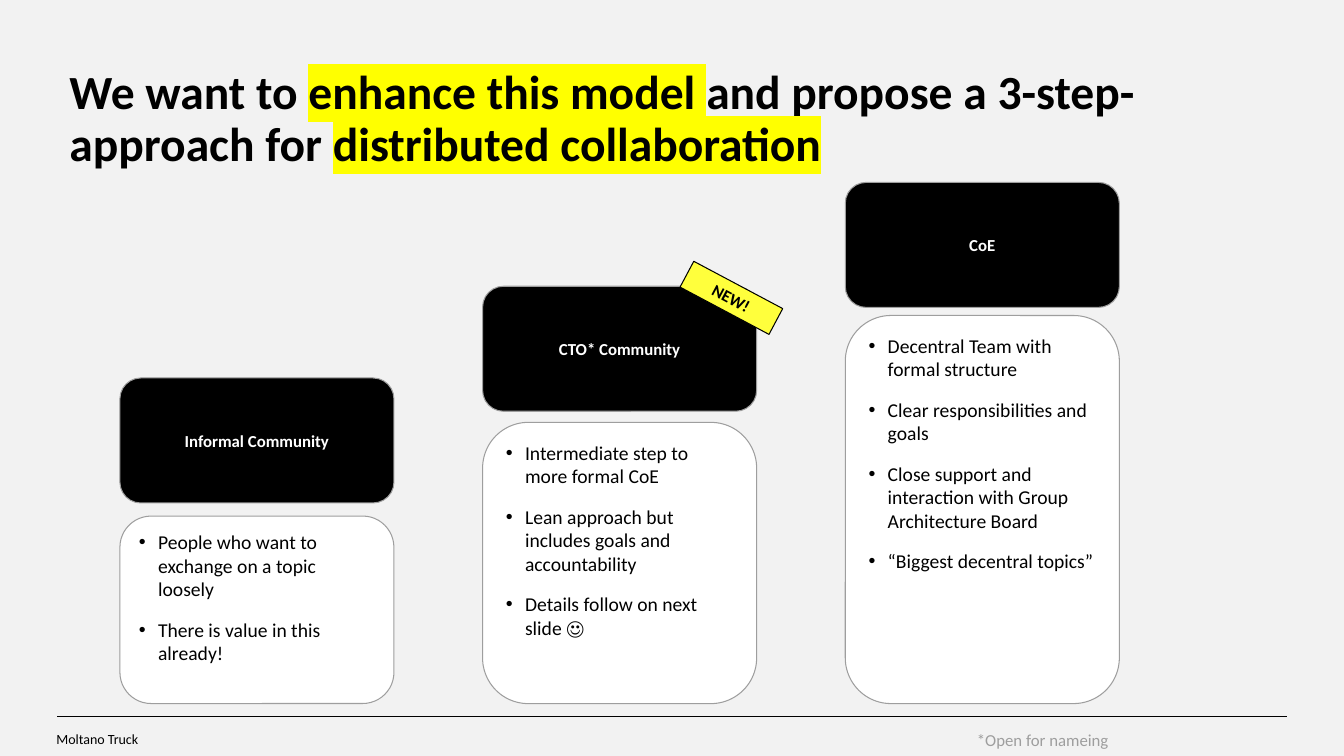
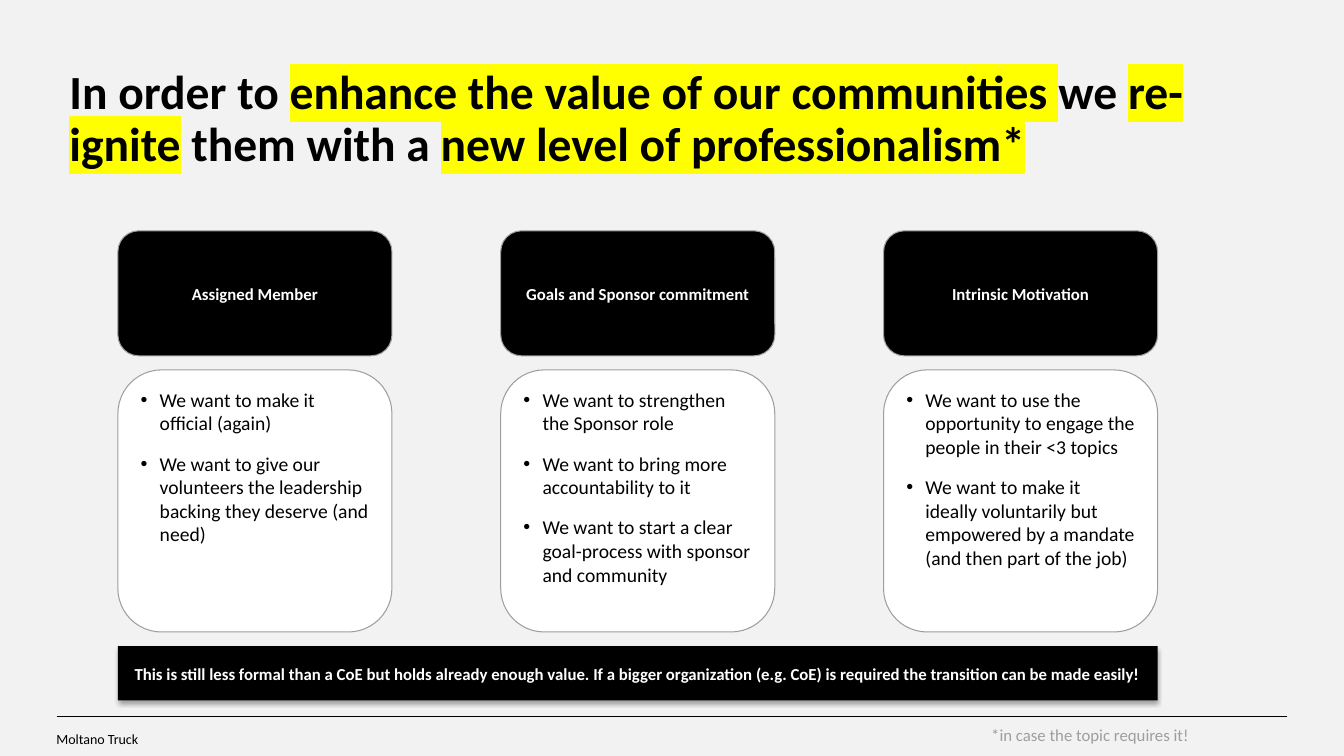
import pptx
import pptx.util
import pptx.dml.color
import pptx.enum.shapes
import pptx.enum.text
import pptx.oxml.ns
import lxml.etree

Inches = pptx.util.Inches
Pt = pptx.util.Pt
Shapes = pptx.enum.shapes.MSO_SHAPE
Align = pptx.enum.text.PP_ALIGN
Anchor = pptx.enum.text.MSO_ANCHOR

COLOURS = {
    "page": "F2F2F2",
    "ink": "000000",
    "paper": "FFFFFF",
    "muted": "9E9E9E",
    "highlight": "FFFF00",
    "badge": "FFFF3C",
}
FONT = "Calibri"
COLUMN_WIDTH = 2.72
HEAD_HEIGHT = 1.24


def colour(name):
    """Return the named palette colour."""
    return pptx.dml.color.RGBColor.from_string(COLOURS[name])


def add_element(parent, tag, **attributes):
    """Append a DrawingML element to a parent."""
    return lxml.etree.SubElement(parent, pptx.oxml.ns.qn("a:" + tag), attributes)


def style_font(para, size, ink, bold=False):
    """Set the font of a whole paragraph."""
    para.font.name = FONT
    para.font.size = Pt(size)
    para.font.bold = bold
    para.font.color.rgb = colour(ink)


def set_frame(shape, anchor, inset=(0.1, 0.05)):
    """Wrap the text of a shape and set its anchor and insets."""
    frame = shape.text_frame
    frame.word_wrap = True
    frame.vertical_anchor = anchor
    frame.margin_left = frame.margin_right = Inches(inset[0])
    frame.margin_top = frame.margin_bottom = Inches(inset[1])
    return frame


def add_label(shape, text, size, ink, bold=False, align=Align.CENTER, inset=(0.1, 0.05)):
    """Write one vertically centred line into a shape."""
    para = set_frame(shape, Anchor.MIDDLE, inset).paragraphs[0]
    para.text = text
    para.alignment = align
    style_font(para, size, ink, bold)


def add_textbox(page, box):
    """Add a text box at a left, top, width, height box."""
    return page.shapes.add_textbox(*map(Inches, box))


def add_panel(page, kind, box, fill, line=None):
    """Add a flat filled shape with an optional outline."""
    panel = page.shapes.add_shape(kind, *map(Inches, box))
    panel.shadow.inherit = False
    panel.fill.solid()
    panel.fill.fore_color.rgb = colour(fill)
    if line:
        panel.line.color.rgb = colour(line)
        panel.line.width = Pt(0.75)
    else:
        panel.line.fill.background()
    return panel


def add_title(page, box, parts):
    """Write a title whose every second part is highlighted."""
    frame = set_frame(add_textbox(page, box), Anchor.TOP, (0, 0))
    para = frame.paragraphs[0]
    para.line_spacing = 0.9
    style_font(para, 34, "ink", True)
    for index, part in enumerate(parts):
        span = para.add_run()
        span.text = part
        if index % 2:
            marker = add_element(span.font._element, "highlight")
            add_element(marker, "srgbClr", val=COLOURS["highlight"])


def add_footer(page, box):
    """Draw the rule and the company name below it."""
    left, top, width, height = box
    rule = page.shapes.add_connector(
        pptx.enum.shapes.MSO_CONNECTOR.STRAIGHT,
        Inches(left), Inches(top), Inches(left + width), Inches(top))
    rule.line.color.rgb = colour("ink")
    rule.line.width = Pt(0.25)
    add_element(rule._element.spPr, "effectLst")
    name = add_textbox(page, (left - 0.01, top + 0.06, 1.85, height))
    add_label(name, "Moltano Truck", 10, "ink", align=Align.LEFT, inset=(0, 0))


def add_footnote(page, box, text):
    """Write the muted note at the foot of the page."""
    add_label(add_textbox(page, box), text, 12, "muted")


def add_bullets(shape, items):
    """Write a bulleted list into a shape."""
    frame = set_frame(shape, Anchor.TOP)
    for index, item in enumerate(items):
        para = frame.add_paragraph() if index else frame.paragraphs[0]
        para.text = item
        para.alignment = Align.LEFT
        para.space_after = Pt(12)
        properties = para._p.get_or_add_pPr()
        properties.set("marL", str(Inches(0.19)))
        properties.set("indent", str(-Inches(0.19)))
        add_element(properties, "buFont", typeface="Arial")
        add_element(properties, "buChar", char="•")
        style_font(para, 14, "ink")


def add_column(page, box, gap, heading, items):
    """Stack a dark heading and a white list inside a box."""
    left, top, width, height = box
    head = add_panel(page, Shapes.ROUNDED_RECTANGLE,
                     (left, top, width, HEAD_HEIGHT), "ink", "muted")
    add_label(head, heading, 12, "paper", True)
    offset = HEAD_HEIGHT + gap
    body = add_panel(page, Shapes.ROUNDED_RECTANGLE,
                     (left, top + offset, width, height - offset), "paper", "muted")
    add_bullets(body, items)


def add_badge(page, box, text):
    """Add a tilted yellow badge."""
    badge = add_panel(page, Shapes.RECTANGLE, box, "badge", "ink")
    badge.rotation = 28
    add_label(badge, text, 12, "ink", True)


def add_banner(page, box, text):
    """Add a dark closing statement with a soft shadow."""
    banner = add_panel(page, Shapes.RECTANGLE, box, "ink")
    effects = banner._element.spPr.find(pptx.oxml.ns.qn("a:effectLst"))
    shadow = add_element(effects, "outerShdw", blurRad=str(Pt(3.1)), dist=str(Pt(1.8)),
                         dir="5400000", rotWithShape="0")
    tint = add_element(shadow, "srgbClr", val=COLOURS["ink"])
    add_element(tint, "alpha", val="35000")
    add_label(banner, text, 12, "paper", True)


def add_page(deck, title_parts):
    """Add a blank page with the shared background, title and footer."""
    page = deck.slides.add_slide(deck.slide_layouts[6])
    page.background.fill.solid()
    page.background.fill.fore_color.rgb = colour("page")
    add_footer(page, (0.57, 7.11, 12.2, 0.33))
    add_title(page, (0.69, 0.68, 11.96, 1.04), title_parts)
    return page


def build_steps_page(deck):
    """Build the page with three rising steps."""
    page = add_page(deck, [
        "We want to ", "enhance this model ",
        "and propose a 3-step-approach for ", "distributed collaboration"])
    steps = [
        (3.75, 0.13, "Informal Community", [
            "People who want to exchange on a topic loosely",
            "There is value in this already!"]),
        (2.84, 0.11, "CTO* Community", [
            "Intermediate step to more formal CoE",
            "Lean approach but includes goals and accountability",
            "Details follow on next slide ☺"]),
        (1.81, 0.08, "CoE", [
            "Decentral Team with formal structure",
            "Clear responsibilities and goals",
            "Close support and interaction with Group Architecture Board",
            "“Biggest decentral topics”"]),
    ]
    bottom = 6.98
    for index, (top, gap, heading, items) in enumerate(steps):
        box = (1.19 + index * 3.6, top, COLUMN_WIDTH, bottom - top)
        add_column(page, box, gap, heading, items)
    add_badge(page, (6.76, 2.81, 1, 0.29), "NEW!")
    add_footnote(page, (9.59, 7.18, 1.52, 0.32), "*Open for nameing")


def build_values_page(deck):
    """Build the page with three level columns and a banner."""
    page = add_page(deck, [
        "In order to ", "enhance the value of our communities ", "we ", "re-ignite",
        " them with a ", "new level of professionalism*"])
    values = [
        ("Assigned Member", [
            "We want to make it official (again)",
            "We want to give our volunteers the leadership backing they deserve (and need)"]),
        ("Goals and Sponsor commitment", [
            "We want to strengthen the Sponsor role",
            "We want to bring more accountability to it",
            "We want to start a clear goal-process with sponsor and community"]),
        ("Intrinsic Motivation", [
            "We want to use the opportunity to engage the people in their <3 topics",
            "We want to make it ideally voluntarily but empowered by a mandate "
            "(and then part of the job)"]),
    ]
    left, pitch = 1.17, 3.8
    for index, (heading, items) in enumerate(values):
        box = (left + index * pitch, 2.29, COLUMN_WIDTH, 3.98)
        add_column(page, box, 0.14, heading, items)
    add_footnote(page, (9.53, 7.17, 2.58, 0.24), "*in case the topic requires it!")
    add_banner(page, (left, 6.41, 2 * pitch + COLUMN_WIDTH, 0.54),
               "This is still less formal than a CoE but holds already enough value. "
               "If a bigger organization (e.g. CoE) is required the transition can be "
               "made easily!")


def main():
    """Build and save the deck."""
    deck = pptx.Presentation()
    deck.slide_width = Inches(13.34)
    deck.slide_height = Inches(7.5)
    build_steps_page(deck)
    build_values_page(deck)
    deck.save("out.pptx")


if __name__ == "__main__":
    main()
